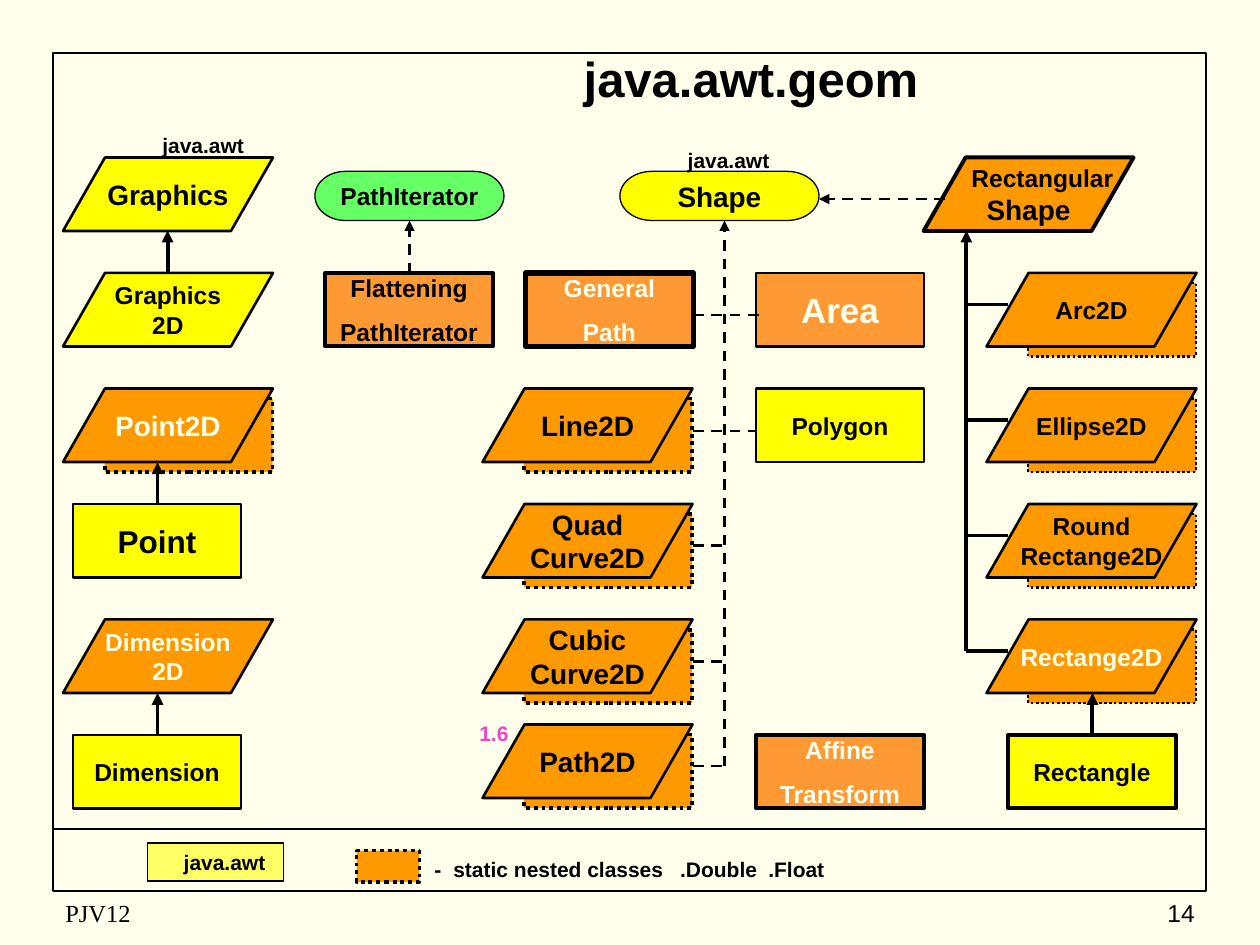
from pptx import Presentation
from pptx.dml.color import RGBColor
from pptx.enum.dml import MSO_LINE
from pptx.enum.shapes import MSO_CONNECTOR, MSO_SHAPE
from pptx.enum.text import MSO_ANCHOR, PP_ALIGN
from pptx.oxml.ns import qn
from pptx.util import Inches, Pt
from lxml.etree import SubElement

BLACK = RGBColor(0x00, 0x00, 0x00)
CREAM = RGBColor(0xFF, 0xFF, 0xEB)
YELLOW = RGBColor(0xFF, 0xFF, 0x00)
PALE_YELLOW = RGBColor(0xFF, 0xFF, 0x66)
ORANGE = RGBColor(0xFF, 0x99, 0x00)
LIGHT_ORANGE = RGBColor(0xFF, 0x99, 0x33)
GREEN = RGBColor(0x66, 0xFF, 0x66)
PINK = RGBColor(0xEC, 0x46, 0xC8)

BOX_WIDTH = 4 / 3
SLANTED_WIDTH = 5 / 3
HEIGHT = 7 / 12
LEFT, CURVES, FRAMES = 0.5, 3.83, 7.83
TRUNK, SUBCLASS_TRUNK = 5.75, 7.67


def row_top(row):
    return 1.25 + row * 11 / 12


def write(shape, lines, size, color=BLACK, align=PP_ALIGN.CENTER, gap=0,
          anchor=MSO_ANCHOR.MIDDLE, wrap=False, bold=True, font="Arial"):
    frame = shape.text_frame
    frame.word_wrap = wrap
    frame.vertical_anchor = anchor
    for index, line in enumerate(lines):
        paragraph = frame.paragraphs[0] if index == 0 else frame.add_paragraph()
        paragraph.text = line
        paragraph.alignment = align
        if index:
            paragraph.space_before = Pt(gap)
        paragraph.font.name = font
        paragraph.font.size = Pt(size)
        paragraph.font.bold = bold
        paragraph.font.color.rgb = color
    return frame.paragraphs


def add_figure(slide, kind, left, top, width, height, fill, weight, dash=None):
    shape = slide.shapes.add_shape(
        kind, Inches(left), Inches(top), Inches(width), Inches(height))
    shape.shadow.inherit = False
    if fill is None:
        shape.fill.background()
    else:
        shape.fill.solid()
        shape.fill.fore_color.rgb = fill
    shape.line.color.rgb = BLACK
    shape.line.width = Pt(weight)
    if dash:
        shape.line.dash_style = dash
    return shape


def add_nested_box(slide, left, top, width, height, weight):
    add_figure(slide, MSO_SHAPE.RECTANGLE, left, top, width, height, ORANGE,
               weight, MSO_LINE.ROUND_DOT)


def add_class(slide, left, top, lines, fill, size, color=BLACK, weight=1.5):
    shape = add_figure(slide, MSO_SHAPE.RECTANGLE, left, top, BOX_WIDTH, HEIGHT,
                       fill, weight)
    write(shape, lines, size, color, gap=8.8)


def add_abstract_class(slide, left, top, lines, fill, size, color=BLACK,
                       weight=1.5, nested=None):
    if nested:
        add_nested_box(slide, left + 0.33, top + 0.08, BOX_WIDTH, HEIGHT, nested)
    shape = add_figure(slide, MSO_SHAPE.FLOWCHART_DATA, left, top,
                       SLANTED_WIDTH, HEIGHT, fill, weight)
    return write(shape, lines, size, color)


def add_interface(slide, left, width, name, fill, size):
    shape = add_figure(slide, MSO_SHAPE.FLOWCHART_TERMINATOR, left, 1.36, width,
                       0.39, fill, 0.75)
    write(shape, [name], size)


def add_line(slide, start, end, weight=2.25, dashed=False, arrow=False):
    connector = slide.shapes.add_connector(
        MSO_CONNECTOR.STRAIGHT, *(Inches(value) for value in (*start, *end)))
    connector.line.color.rgb = BLACK
    connector.line.width = Pt(weight)
    if dashed:
        connector.line.dash_style = MSO_LINE.DASH
    if arrow:
        SubElement(connector.line._get_or_add_ln(), qn("a:tailEnd"), type="triangle")
    SubElement(connector._element.spPr, qn("a:effectLst"))


def add_dashed(slide, start, end, arrow=False):
    add_line(slide, start, end, 1.5, True, arrow)


def add_label(slide, left, top, width, height, text, size, **style):
    box = slide.shapes.add_textbox(
        Inches(left), Inches(top), Inches(width), Inches(height))
    return write(box, [text], size, wrap=True, **style)[0]


def add_package_label(slide, left, top):
    add_label(slide, left + 0.19, top, 0.98, 0.3, "java.awt", 12,
              align=PP_ALIGN.LEFT, anchor=MSO_ANCHOR.TOP)


def add_classes(slide):
    for left, row, lines, fill, size, color, weight in (
        (2.58, 1, ["Flattening", "PathIterator"], LIGHT_ORANGE, 14, BLACK, 2.25),
        (4.17, 1, ["General", "Path"], LIGHT_ORANGE, 14, CREAM, 3),
        (6, 1, ["Area"], LIGHT_ORANGE, 20, CREAM, 1.5),
        (6, 2, ["Polygon"], YELLOW, 14, BLACK, 1.5),
        (0.58, 3, ["Point"], YELLOW, 18, BLACK, 1.5),
        (0.58, 5, ["Dimension"], YELLOW, 14, BLACK, 1.5),
        (6, 5, ["Affine", "Transform"], LIGHT_ORANGE, 14, CREAM, 2.25),
        (8, 5, ["Rectangle"], YELLOW, 14, BLACK, 2.25),
    ):
        add_class(slide, left, row_top(row), lines, fill, size, color, weight)


def add_abstract_classes(slide):
    add_abstract_class(slide, LEFT, row_top(0), ["Graphics"], YELLOW, 16)
    add_abstract_class(slide, LEFT, row_top(1), ["Graphics", "2D"], YELLOW, 14)
    add_abstract_class(slide, LEFT, row_top(2), ["Point2D"], ORANGE, 16, CREAM,
                       nested=2.25)
    add_abstract_class(slide, LEFT, row_top(4), ["Dimension", "2D"], ORANGE, 14, CREAM)
    for top, lines in ((row_top(2), ["Line2D"]),
                       (row_top(3), ["Quad", "Curve2D"]),
                       (row_top(4), ["Cubic", "Curve2D"]),
                       (5.75, ["Path2D"])):
        add_abstract_class(slide, CURVES, top, lines, ORANGE, 16, nested=2.25)
    for row, lines, color in ((1, ["Arc2D"], BLACK),
                              (2, ["Ellipse2D"], BLACK),
                              (3, ["Round", "Rectange2D"], BLACK),
                              (4, ["Rectange2D"], CREAM)):
        add_abstract_class(slide, FRAMES, row_top(row), lines, ORANGE, 14, color,
                           nested=1.5)
    rectangular, shape_name = add_abstract_class(
        slide, 7.33, row_top(0), ["Rectangular", "Shape"], ORANGE, 14, weight=2.25)
    rectangular._p.get_or_add_pPr().set("marL", str(Inches(0.22)))
    shape_name.font.size = Pt(16)


def add_relations(slide):
    for x, bottom, top in ((1.33, 2.17, 1.83), (1.25, 5.83, 5.5), (1.25, 4, 3.67),
                           (8.67, 5.83, 5.5), (SUBCLASS_TRUNK, 5.17, 1.83)):
        add_line(slide, (x, bottom), (x, top), arrow=True)
    for row in range(1, 5):
        y = row_top(row) + 0.25
        add_line(slide, (SUBCLASS_TRUNK, y), (8, y))
    add_dashed(slide, (TRUNK, 6.08), (TRUNK, 1.75), arrow=True)
    add_dashed(slide, (3.25, 2.17), (3.25, 1.75), arrow=True)
    add_dashed(slide, (7.5, 1.58), (6.5, 1.58), arrow=True)
    for y, end in ((2.5, 6.08), (3.42, 6), (4.33, TRUNK), (5.25, TRUNK), (6.08, TRUNK)):
        add_dashed(slide, (5.5, y), (end, y))


def add_legend(slide):
    add_line(slide, (0.42, 6.58), (9.58, 6.58), 0.75)
    add_figure(slide, MSO_SHAPE.RECTANGLE, 1.17, 6.69, 1.08, 0.3, PALE_YELLOW, 1)
    add_package_label(slide, 1.17, 6.69)
    add_nested_box(slide, 2.83, 6.75, 0.5, 0.25, 2.25)
    paragraph = add_label(
        slide, 3.35, 6.75, 3.33, 0.3, "-\tstatic nested classes\t.Double\t.Float", 12,
        align=PP_ALIGN.LEFT, anchor=MSO_ANCHOR.TOP)
    tabs = paragraph._p.get_or_add_pPr().makeelement(qn("a:tabLst"), {})
    for position in (0.15, 1.95, 2.65):
        SubElement(tabs, qn("a:tab"), pos=str(Inches(position)), algn="l")
    paragraph._p.pPr.insert(0, tabs)


def main():
    presentation = Presentation()
    presentation.slide_width = Inches(10)
    presentation.slide_height = Inches(7.5)
    slide = presentation.slides.add_slide(presentation.slide_layouts[6])
    slide.background.fill.solid()
    slide.background.fill.fore_color.rgb = CREAM

    add_figure(slide, MSO_SHAPE.RECTANGLE, 0.42, 0.42, 9.15, 6.65, None, 1)
    add_label(slide, 2.92, 0.33, 6.08, 0.58, "java.awt.geom", 28)
    add_interface(slide, 2.5, 1.5, "PathIterator", GREEN, 14)
    add_interface(slide, 4.92, 1.58, "Shape", YELLOW, 16)
    add_classes(slide)
    add_abstract_classes(slide)
    add_relations(slide)
    add_legend(slide)
    add_package_label(slide, 1, 1)
    add_package_label(slide, 5.17, 1.12)
    add_label(slide, 3.67, 5.67, 0.5, 0.3, "1.6", 12, color=PINK,
              anchor=MSO_ANCHOR.TOP)
    add_label(slide, 0.42, 7.08, 3.17, 0.33, "PJV12", 14, align=PP_ALIGN.LEFT,
              bold=False, font="Times New Roman")
    add_label(slide, 7.5, 7.08, 2.08, 0.33, "14", 14, align=PP_ALIGN.RIGHT, bold=False)
    presentation.save("out.pptx")


if __name__ == "__main__":
    main()
